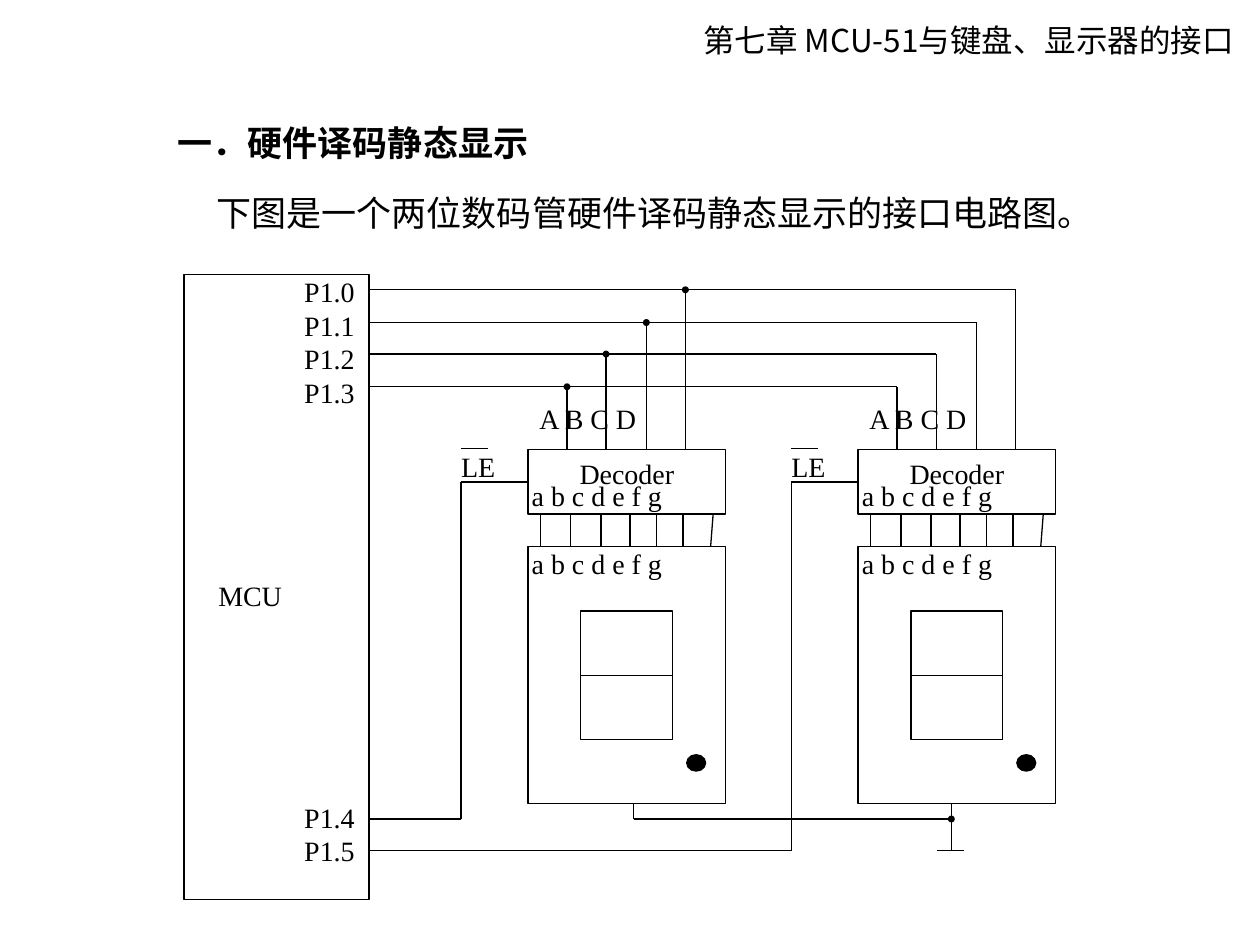
from dataclasses import dataclass

import pptx
import pptx.dml.color
import pptx.enum.shapes
import pptx.enum.text
import pptx.oxml.ns
import pptx.util
from lxml import etree

Inches = pptx.util.Inches
Shape = pptx.enum.shapes.MSO_SHAPE
Align = pptx.enum.text.PP_ALIGN
Anchor = pptx.enum.text.MSO_ANCHOR
qn = pptx.oxml.ns.qn


@dataclass(frozen=True)
class Theme:
    ink = pptx.dml.color.RGBColor(0, 0, 0)
    paper = pptx.dml.color.RGBColor(255, 255, 255)
    stroke = pptx.util.Pt(0.75)
    chapter_size = pptx.util.Pt(18)
    heading_size = pptx.util.Pt(20)
    label_size = pptx.util.Pt(16)
    cjk_font = "Noto Sans CJK JP"
    heading_font = "Arial"
    label_font = "Times New Roman"


@dataclass(frozen=True)
class Box:
    left: float
    top: float
    width: float
    height: float

    @property
    def right(self):
        return self.left + self.width

    @property
    def bottom(self):
        return self.top + self.height

    def inner(self, left, top, width, height):
        return Box(self.left + left, self.top + top, width, height)

    def lengths(self):
        return [Inches(v) for v in (self.left, self.top, self.width, self.height)]


THEME = Theme()
INPUT_OFFSETS = (0.31, 0.62, 0.94, 1.25)
INPUT_RISES = (0.5, 0.76, 1.01, 1.27)
PIN_TOPS = (0.1, 0.34, 0.58, 0.81, 1.02, 1.23, 1.47)
PIN_BOTTOMS = PIN_TOPS[:-1] + (1.45,)
DECODER_HEIGHT = 0.51
LATCH_DROP = DECODER_HEIGHT / 2
LATCH_LEAD = 0.53
COMMON_OFFSETS = (0.84, 0.74)


def write(frame, lines, size, font, align=Align.LEFT, bold=False):
    for index, line in enumerate(lines):
        para = frame.paragraphs[0] if index == 0 else frame.add_paragraph()
        para.alignment = align
        span = para.add_run()
        span.text = line
        span.font.size = size
        span.font.name = font
        span.font.bold = bold
        span.font.color.rgb = THEME.ink
        east = etree.SubElement(span.font._element, qn("a:ea"))
        east.set("typeface", THEME.cjk_font)


def add_label(page, box, *lines, align=Align.LEFT):
    frame = page.shapes.add_textbox(*box.lengths()).text_frame
    frame.word_wrap = True
    frame.margin_left = frame.margin_right = Inches(0)
    frame.margin_top = frame.margin_bottom = Inches(0)
    write(frame, lines, THEME.label_size, THEME.label_font, align)


def add_block(page, box, kind=Shape.RECTANGLE, fill=THEME.paper):
    block = page.shapes.add_shape(kind, *box.lengths())
    block.shadow.inherit = False
    block.fill.solid()
    block.fill.fore_color.rgb = fill
    block.line.color.rgb = THEME.ink
    block.line.width = THEME.stroke
    return block


def add_wire(page, x1, y1, x2, y2, dot=None):
    wire = page.shapes.add_connector(
        pptx.enum.shapes.MSO_CONNECTOR.STRAIGHT,
        Inches(x1), Inches(y1), Inches(x2), Inches(y2))
    wire.line.color.rgb = THEME.ink
    wire.line.width = THEME.stroke
    if dot:
        mark = etree.SubElement(wire.line._get_or_add_ln(), qn(dot))
        for name, value in (("type", "oval"), ("w", "sm"), ("len", "sm")):
            mark.set(name, value)
    etree.SubElement(wire._element.spPr, qn("a:effectLst"))
    return wire


def add_chapter(page, box):
    frame = page.shapes.add_textbox(*box.lengths()).text_frame
    frame.word_wrap = False
    write(frame, ["第七章 MCU-51与键盘、显示器的接口"],
          THEME.chapter_size, THEME.cjk_font, Align.RIGHT)


def add_heading(page, box):
    title = page.shapes.title
    title.left, title.top, title.width, title.height = box.lengths()
    frame = title.text_frame
    frame.word_wrap = True
    frame.auto_size = pptx.enum.text.MSO_AUTO_SIZE.NONE
    frame.vertical_anchor = Anchor.MIDDLE
    write(frame, ["一．硬件译码静态显示"],
          THEME.heading_size, THEME.heading_font, bold=True)


def add_intro(page, box):
    frame = page.shapes.add_textbox(*box.lengths()).text_frame
    frame.word_wrap = False
    frame.vertical_anchor = Anchor.MIDDLE
    write(frame, ["下图是一个两位数码管硬件译码静态显示的接口电路图。"],
          THEME.heading_size, THEME.heading_font)


def add_controller(page, box):
    add_block(page, box)
    add_label(page, box.inner(0.84, 0, 0.63, 1.14),
              "P1.0", "P1.1", "P1.2", "P1.3", align=Align.CENTER)
    add_label(page, box.inner(0.84, 4.17, 0.63, 0.64),
              "P1.4", "P1.5", align=Align.CENTER)
    add_label(page, box.inner(0.21, 2.41, 0.63, 0.51), "MCU", align=Align.CENTER)


def add_display(page, box):
    add_block(page, box)
    digit = add_block(page, box.inner(0.42, 0.51, 0.73, 1.02))
    middle = box.top + 1.02
    bar = add_wire(page, box.left + 0.42, middle, box.left + 1.15, middle)
    bar.begin_connect(digit, 1)
    bar.end_connect(digit, 3)
    add_block(page, box.inner(1.26, 1.65, 0.15, 0.13),
              Shape.FLOWCHART_CONNECTOR, THEME.ink)
    add_label(page, box.inner(0.03, 0, 1.44, 0.38), "a b c d e f g")


def add_digit(page, box, dot=None):
    decoder_box = box.inner(0, 0, box.width, DECODER_HEIGHT)
    display_box = box.inner(0, 0.77, box.width, 2.04)
    add_display(page, display_box)
    for upper, lower in zip(PIN_TOPS, PIN_BOTTOMS):
        add_wire(page, box.left + upper, decoder_box.bottom,
                 box.left + lower, display_box.top)

    decoder = add_block(page, decoder_box)
    frame = decoder.text_frame
    frame.vertical_anchor = Anchor.TOP
    frame.word_wrap = True
    write(frame, ["Decoder"], THEME.label_size, THEME.label_font, Align.CENTER)
    add_label(page, box.inner(0.03, 0.23, 1.44, 0.28), "a b c d e f g")

    for offset, rise in zip(INPUT_OFFSETS, INPUT_RISES):
        x = box.left + offset
        add_wire(page, x, box.top, x, box.top - rise, dot)
    add_label(page, box.inner(0.09, -0.38, 1.15, 0.38), "A B C D")

    latch = box.left - LATCH_LEAD
    level = box.top + LATCH_DROP
    lead = add_wire(page, box.left, level, latch, level)
    lead.begin_connect(decoder, 1)
    add_label(page, box.inner(-LATCH_LEAD, 0, 0.42, 0.25), "LE")
    add_wire(page, latch, box.top - 0.01, latch + 0.21, box.top - 0.01)


def add_buses(page, controller, digits):
    last = digits[-1]
    for offset, rise in zip(INPUT_OFFSETS, INPUT_RISES):
        y = last.top - rise
        add_wire(page, controller.right, y, last.left + offset, y)
    for digit, port in zip(digits, (6.5, 6.75)):
        latch = digit.left - LATCH_LEAD
        add_wire(page, latch, digit.top + LATCH_DROP, latch, port)
        add_wire(page, latch, port, controller.right, port)


def add_ground(page, digits):
    rail = digits[0].bottom + 0.12
    commons = [digit.left + offset for digit, offset in zip(digits, COMMON_OFFSETS)]
    for digit, x in zip(digits, commons):
        add_wire(page, x, digit.bottom, x, rail)
    start, end = commons
    add_wire(page, start, rail, end, rail)
    add_wire(page, end, rail, end, rail + 0.25, "a:headEnd")
    add_wire(page, end - 0.11, rail + 0.25, end + 0.1, rail + 0.25)


def main():
    deck = pptx.Presentation()
    deck.slide_width, deck.slide_height = Inches(10), Inches(7.5)
    page = deck.slides.add_slide(deck.slide_layouts.get_by_name("Title Only"))
    controller = Box(1.46, 2.18, 1.47, 4.96)
    digits = [Box(4.19 + 2.62 * index, 3.57, 1.57, 2.81) for index in range(2)]
    add_chapter(page, Box(5.28, 0.12, 4.61, 0.4))
    add_heading(page, Box(1.31, 0.91, 3.5, 0.44))
    add_intro(page, Box(1.62, 1.47, 7.22, 0.44))
    add_controller(page, controller)
    for digit, dot in zip(digits, ("a:tailEnd", None)):
        add_digit(page, digit, dot)
    add_buses(page, controller, digits)
    add_ground(page, digits)
    deck.save("out.pptx")


if __name__ == "__main__":
    main()
